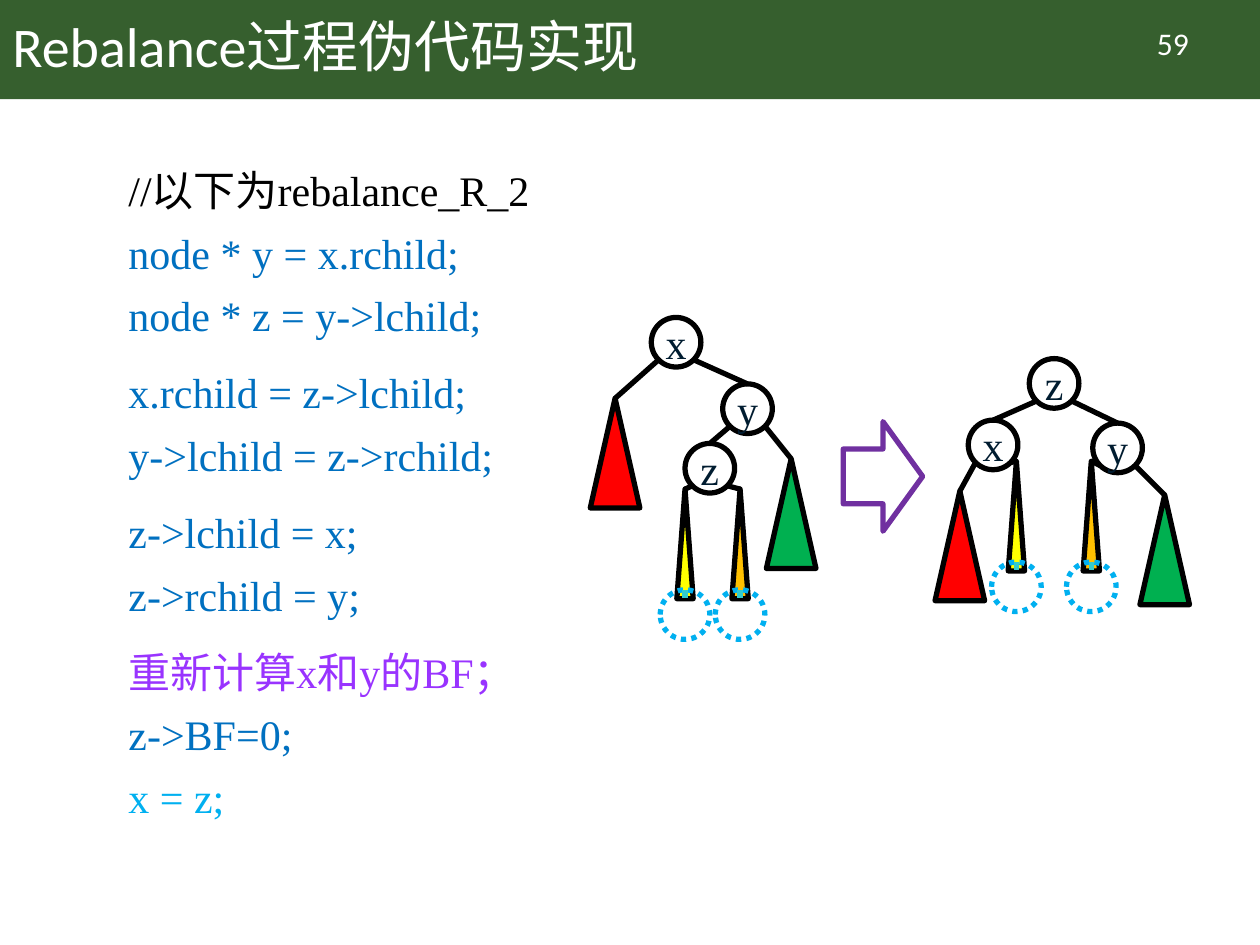
"""Build the slide on the rebalance_R_2 tree rotation pseudocode."""
from math import sqrt

from lxml.etree import SubElement
from pptx import Presentation
from pptx.dml.color import RGBColor
from pptx.enum.dml import MSO_LINE_DASH_STYLE as Dash
from pptx.enum.shapes import MSO_CONNECTOR as Connector, MSO_SHAPE as Shape
from pptx.enum.text import MSO_ANCHOR as Anchor, PP_ALIGN as Align
from pptx.oxml.ns import qn
from pptx.util import Cm, Pt

WHITE = RGBColor(0xFF, 0xFF, 0xFF)
BLACK = RGBColor(0x00, 0x00, 0x00)
BANNER = RGBColor(0x36, 0x5F, 0x2E)
NAVY = RGBColor(0x00, 0x1C, 0x30)
BLUE = RGBColor(0x00, 0x70, 0xC0)
VIOLET = RGBColor(0x99, 0x33, 0xFF)
PURPLE = RGBColor(0x70, 0x30, 0xA0)
SKY = RGBColor(0x00, 0xB0, 0xF0)
TEAL = RGBColor(0x33, 0xCC, 0xCC)
RED = RGBColor(0xFF, 0x00, 0x00)
YELLOW = RGBColor(0xFF, 0xFF, 0x00)
ORANGE = RGBColor(0xFF, 0xC0, 0x00)
GREEN = RGBColor(0x00, 0xB0, 0x50)

SANS, SERIF = "Calibri", "Times New Roman"
TITLE, NUMBER = "Rebalance过程伪代码实现", "59"
CODE = [
    ("//以下为rebalance_R_2", BLACK, 0),
    ("node * y = x.rchild;", BLUE, 10),
    ("node * z = y->lchild;", BLUE, 10),
    ("x.rchild = z->lchild;", BLUE, 18),
    ("y->lchild = z->rchild;", BLUE, 10),
    ("z->lchild = x;", BLUE, 18),
    ("z->rchild = y;", BLUE, 10),
    ("重新计算x和y的BF；", VIOLET, 18),
    ("z->BF=0;", BLUE, 10),
    ("x = z;", SKY, 10),
]

DIAMETER, TREE_HEIGHT, WIDE, NARROW = 1.0, 2.21, 1.0, 0.33
EXTRA_DROP, TICK = 2.03, 0.17
SUBTREES = {
    "red": (RED, WIDE),
    "yellow": (YELLOW, NARROW),
    "orange": (ORANGE, NARROW),
    "green": (GREEN, WIDE),
}
BEFORE = {
    "nodes": {"x": (13.63, 6.9), "y": (15.07, 8.24), "z": (14.31, 9.44)},
    "tops": {"red": (12.4, 8.03), "yellow": (13.81, 9.86),
             "orange": (14.92, 9.86), "green": (15.95, 9.25)},
    "children": {"x": ("red", "y"), "y": ("z", "green"), "z": ("yellow", "orange")},
}
AFTER = {
    "nodes": {"z": (21.25, 7.73), "x": (20.02, 8.97), "y": (22.53, 9.03)},
    "tops": {"red": (19.35, 9.9), "yellow": (20.49, 9.3),
             "orange": (22.0, 9.3), "green": (23.48, 9.98)},
    "children": {"z": ("x", "y"), "x": ("red", "yellow"), "y": ("orange", "green")},
}


def add_shape(shapes, kind, left, top, width, height, fill=None, line=None):
    shape = shapes.add_shape(kind, Cm(left), Cm(top), Cm(width), Cm(height))
    shape.shadow.inherit = False
    if fill is None:
        shape.fill.background()
    else:
        shape.fill.solid()
        shape.fill.fore_color.rgb = fill
    if line is None:
        shape.line.fill.background()
    else:
        shape.line.color.rgb = line
        shape.line.width = Pt(3)
    return shape


def add_line(shapes, start, end, color=BLACK):
    ends = [Cm(value) for value in (*start, *end)]
    line = shapes.add_connector(Connector.STRAIGHT, *ends)
    line.line.color.rgb = color
    line.line.width = Pt(3)
    SubElement(line._element.spPr, qn("a:effectLst"))


def style(para, size, font, color, align=Align.LEFT):
    para.alignment = align
    for span in para.runs:
        span.font.size = Pt(size)
        span.font.name = font
        span.font.color.rgb = color


def add_text(page, left, top, width, height, text, anchor=Anchor.TOP):
    box = page.shapes.add_textbox(Cm(left), Cm(top), Cm(width), Cm(height))
    frame = box.text_frame
    frame.word_wrap = True
    frame.vertical_anchor = anchor
    frame.text = text
    return frame.paragraphs


def add_circle(shapes, center_x, top, color):
    return add_shape(shapes, Shape.OVAL, center_x - DIAMETER / 2, top,
                     DIAMETER, DIAMETER, line=color)


def add_tree(page, tree):
    shapes = page.shapes.add_group_shape().shapes
    radius = DIAMETER / 2
    for name, (x, y) in tree["nodes"].items():
        node = add_circle(shapes, x, y - radius, BLACK)
        frame = node.text_frame
        frame.margin_left = frame.margin_right = 0
        frame.margin_top = frame.margin_bottom = 0
        frame.vertical_anchor = Anchor.MIDDLE
        frame.word_wrap = False
        frame.text = name
        style(frame.paragraphs[0], 24, SERIF, NAVY, Align.CENTER)
    for name, (x, y) in tree["tops"].items():
        color, width = SUBTREES[name]
        add_shape(shapes, Shape.ISOSCELES_TRIANGLE, x - width / 2, y,
                  width, TREE_HEIGHT, color, BLACK)
        if width == NARROW:
            top = y + EXTRA_DROP
            extra = add_circle(shapes, x, top, SKY)
            extra.line.dash_style = Dash.ROUND_DOT
            add_line(shapes, (x, top), (x, top + TICK), TEAL)
    joints = tree["tops"] | {name: (x, y - radius)
                             for name, (x, y) in tree["nodes"].items()}
    offset = radius / sqrt(2)
    for parent, children in tree["children"].items():
        x, y = tree["nodes"][parent]
        for side, child in zip((-1, 1), children):
            add_line(shapes, (x + side * offset, y + offset), joints[child])


def main():
    deck = Presentation()
    deck.slide_width, deck.slide_height = Cm(25.4), Cm(19.05)
    page = deck.slides.add_slide(deck.slide_layouts[6])

    add_shape(page.shapes, Shape.RECTANGLE, 0, 0, 25.4, 2, BANNER)
    number, = add_text(page, 22.12, 0.36, 3.05, 1.02, NUMBER)
    style(number, 18, SANS, WHITE, Align.CENTER)
    title, = add_text(page, 0, 0, 21.9, 2, TITLE, Anchor.MIDDLE)
    title.line_spacing = 0.9
    style(title, 32, SANS, WHITE)

    code = "\n".join(text for text, _, _ in CODE)
    paras = add_text(page, 2.34, 3.3, 11.5, 13.72, code)
    for para, (_, color, space) in zip(paras, CODE):
        para.line_spacing = 0.9
        if space:
            para.space_before = Pt(space)
        style(para, 24, SERIF, color)

    add_tree(page, BEFORE)
    add_tree(page, AFTER)
    add_shape(page.shapes, Shape.RIGHT_ARROW, 17, 8.5, 1.6, 2.21, line=PURPLE)
    deck.save("out.pptx")


if __name__ == "__main__":
    main()
